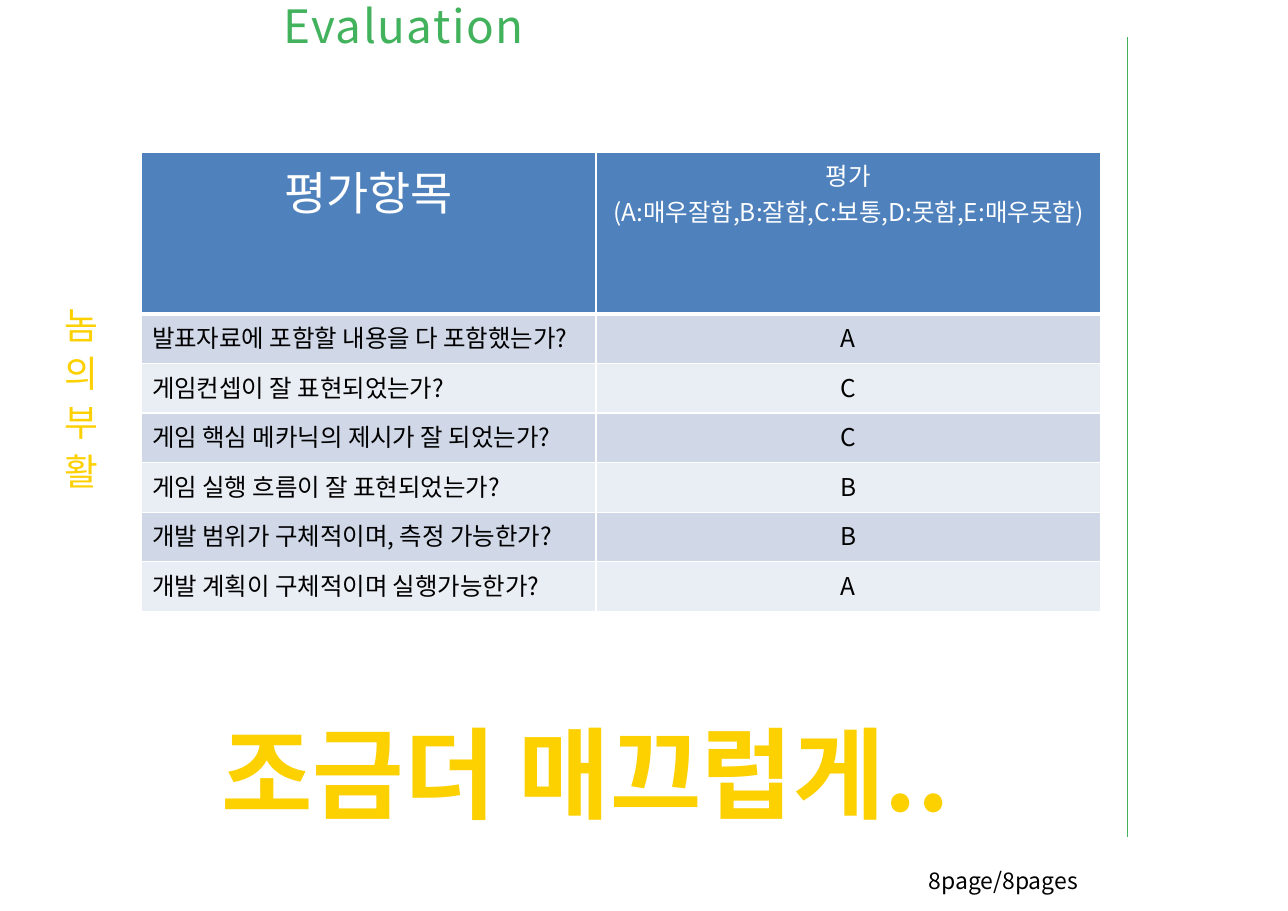
from dataclasses import dataclass

import pptx
import pptx.dml.color
import pptx.enum.shapes
import pptx.enum.text
import pptx.oxml
import pptx.oxml.ns
import pptx.util
from pptx.util import Inches

CENTER = pptx.enum.text.PP_ALIGN.CENTER
LEFT = pptx.enum.text.PP_ALIGN.LEFT


@dataclass(frozen=True)
class Theme:
    font: str = "Noto Sans CJK KR"
    green: str = "42B25D"
    yellow: str = "FDD000"
    white: str = "FFFFFF"
    black: str = "000000"
    header: str = "4F81BD"
    bands: tuple = ("D0D8E8", "E9EDF4")
    slogan_size: int = 65
    title_size: int = 30
    side_size: int = 24
    table_size: int = 16
    page_size: int = 15


def rgb(color):
    return pptx.dml.color.RGBColor.from_string(color)


class PageBuilder:
    def __init__(self, page, theme):
        self.page = page
        self.theme = theme

    def format_text(self, frame, size, color, align=LEFT, bold=False, line=None, spacing=0):
        for para in frame.paragraphs:
            para.alignment = align
            if line:
                para.line_spacing = pptx.util.Pt(line)
                para.space_before = pptx.util.Pt(size * 0.2)
            for span in para.runs:
                span.font.name = self.theme.font
                span.font.size = pptx.util.Pt(size)
                span.font.bold = bold
                span.font.color.rgb = rgb(color)
                properties = span.font._element
                east_asian = pptx.oxml.ns.qn("a:ea")
                properties.append(properties.makeelement(east_asian, {"typeface": self.theme.font}))
                if spacing:
                    properties.set("spc", str(spacing * 100))

    def text(self, place, content, size, color, insets=(0, 0), **style):
        box = self.page.shapes.add_textbox(*map(Inches, place))
        frame = box.text_frame
        frame.word_wrap = True
        side, top = map(Inches, insets)
        frame.margin_left = frame.margin_right = side
        frame.margin_top = top
        frame.margin_bottom = 0
        frame.text = content
        self.format_text(frame, size, color, **style)

    def rule(self, start, end, color, width):
        line = self.page.shapes.add_connector(
            pptx.enum.shapes.MSO_CONNECTOR.STRAIGHT, *map(Inches, start + end)
        )
        line.line.color.rgb = rgb(color)
        line.line.width = pptx.util.Pt(width)
        properties = line._element.spPr
        properties.append(properties.makeelement(pptx.oxml.ns.qn("a:effectLst"), {}))

    def border(self, cell, bottom):
        properties = cell._tc.get_or_add_tcPr()
        for side, width in (("L", 1), ("R", 1), ("T", 1), ("B", bottom)):
            properties.append(pptx.oxml.parse_xml(
                f'<a:ln{side} {pptx.oxml.ns.nsdecls("a")} w="{pptx.util.Pt(width)}">'
                f'<a:solidFill><a:srgbClr val="{self.theme.white}"/></a:solidFill></a:ln{side}>'
            ))

    def cell(self, cell, content, size, color, fill, align, bottom=1):
        self.border(cell, bottom)
        cell.fill.solid()
        cell.fill.fore_color.rgb = rgb(fill)
        cell.text_frame.text = content
        self.format_text(cell.text_frame, size, color, align)

    def table(self, place, widths, heights, headings, rows):
        theme = self.theme
        table = self.page.shapes.add_table(
            len(rows) + 1, len(widths), *map(Inches, place)
        ).table
        for column, width in zip(table.columns, widths):
            column.width = Inches(width)
        for row, height in zip(table.rows, heights):
            row.height = Inches(height)
        for column, (content, size) in enumerate(headings):
            self.cell(table.cell(0, column), content, size, theme.white, theme.header, CENTER, 3)
        for index, row in enumerate(rows):
            for column, (content, align) in enumerate(zip(row, (LEFT, CENTER))):
                self.cell(table.cell(index + 1, column), content, theme.table_size,
                          theme.black, theme.bands[index % 2], align)


def main():
    theme = Theme()
    deck = pptx.Presentation()
    deck.slide_width = Inches(11.69)
    deck.slide_height = Inches(8.27)
    builder = PageBuilder(deck.slides.add_slide(deck.slide_layouts[6]), theme)

    builder.rule((10.23, 0.34), (10.23, 7.6), theme.green, 0.3)
    builder.text((2.01, 6.85, 7.28, 0.79), "조금더 매끄럽게..", theme.slogan_size,
                 theme.yellow, bold=True, line=50)
    builder.text((2.01, 0.24, 3.31, 0.78), "Evaluation", theme.title_size,
                 theme.green, align=CENTER, line=17, spacing=1)
    builder.text((0.3, 1.4, 0.87, 5.49), "\n".join("놈의부활"), theme.side_size,
                 theme.yellow, insets=(0.1, 1.37), align=CENTER, line=27)

    headings = [
        ("평가항목", theme.title_size),
        ("평가\n(A:매우잘함,B:잘함,C:보통,D:못함,E:매우못함)", theme.table_size),
    ]
    rows = [
        ("발표자료에 포함할 내용을 다 포함했는가?", "A"),
        ("게임컨셉이 잘 표현되었는가?", "C"),
        ("게임 핵심 메카닉의 제시가 잘 되었는가?", "C"),
        ("게임 실행 흐름이 잘 표현되었는가?", "B"),
        ("개발 범위가 구체적이며, 측정 가능한가?", "B"),
        ("개발 계획이 구체적이며 실행가능한가?", "A"),
    ]
    heights = [1.47] + [0.45] * len(rows)
    builder.table((1.28, 1.38, 8.7, 4.54), (4.13, 4.58), heights, headings, rows)
    builder.text((8.33, 7.82, 2.28, 0.34), "8page/8pages", theme.page_size,
                 theme.black, insets=(0.1, 0.05))
    deck.save("out.pptx")


if __name__ == "__main__":
    main()
